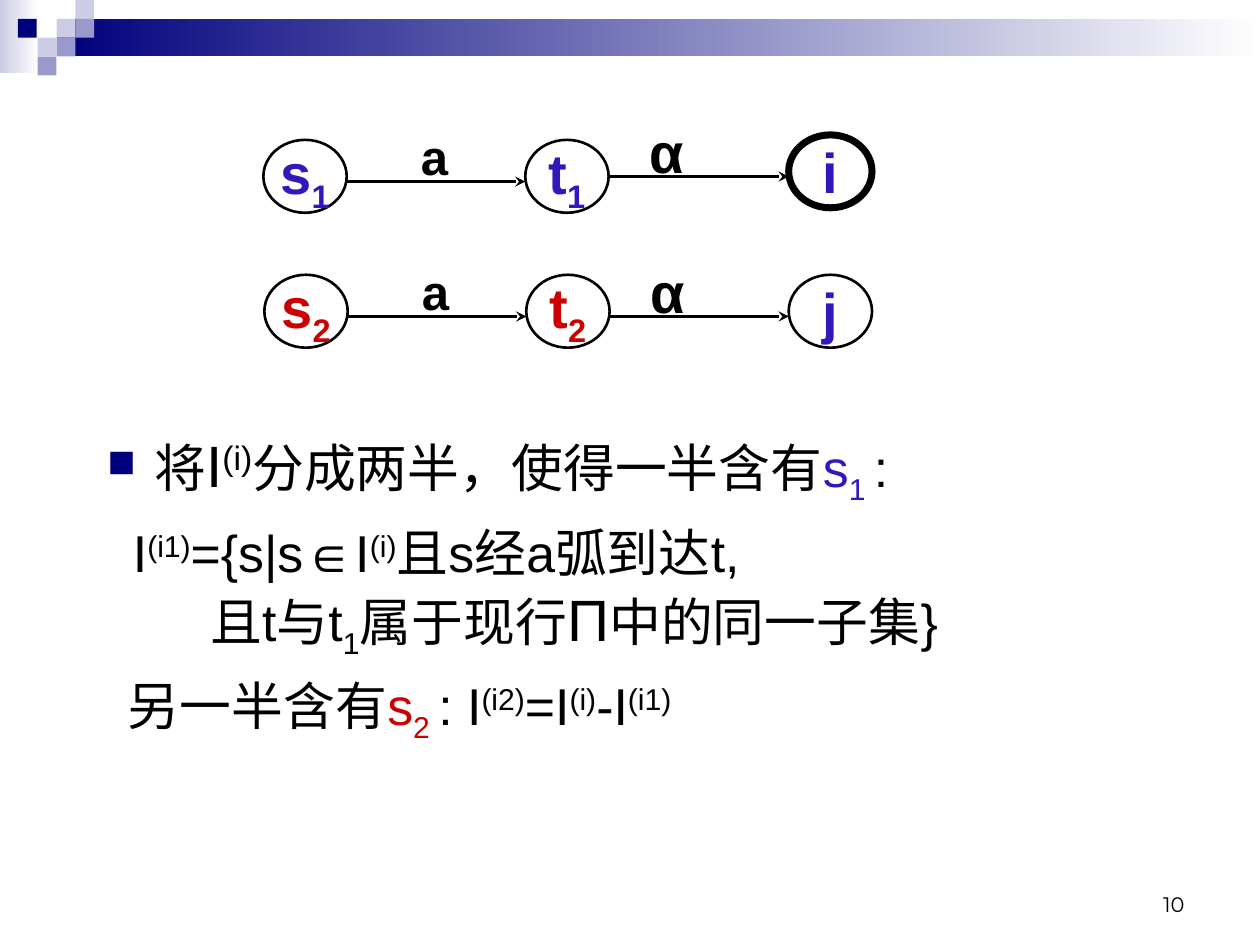
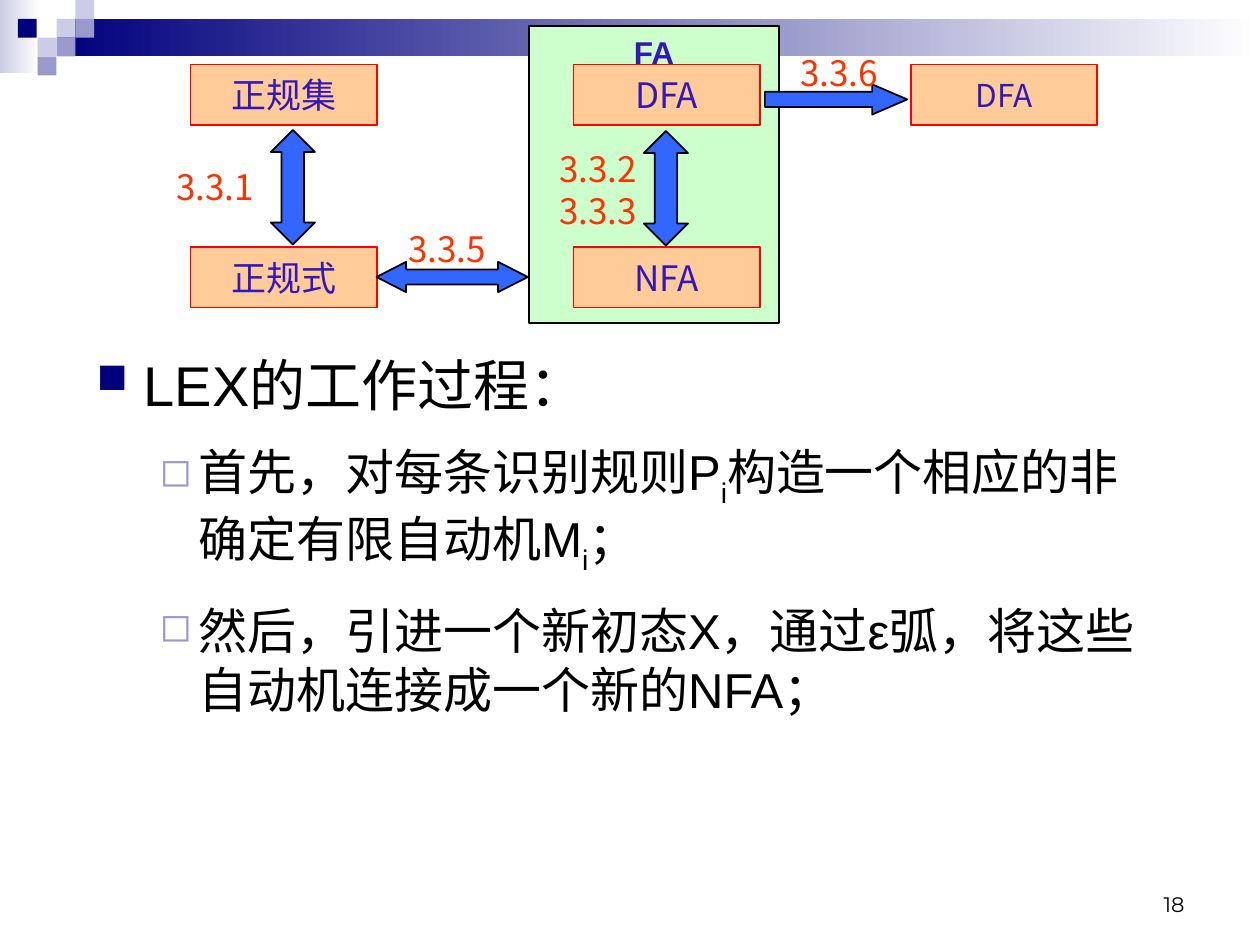
from lxml.etree import SubElement
from pptx import Presentation
from pptx.dml.color import RGBColor
from pptx.enum.shapes import MSO_CONNECTOR, MSO_SHAPE
from pptx.enum.text import MSO_ANCHOR, MSO_AUTO_SIZE, PP_ALIGN
from pptx.oxml.ns import qn
from pptx.util import Cm, Pt

NAVY, LILAC, PALE, WHITE, BLACK = "00007D", "9999CC", "CCCCE6", "FFFFFF", "000000"
INDIGO, CRIMSON, RED, ORANGE = "3217BB", "CC0000", "FF0000", "FF3300"
PEACH, MINT, BLUE = "FFCC99", "CCFFCC", "3366FF"
CJK_FONT = "Noto Sans CJK SC"
SUB, SUPER = {"baseline": -25000}, {"baseline": 30000}
SQUARE_BULLET = {"character": "■", "colour": NAVY, "percent": 75}
HOLLOW_BULLET = {"character": "◻", "colour": LILAC, "percent": 80}


def colour(value):
    return RGBColor.from_string(value)


def apply(target, values):
    for name, value in values.items():
        setattr(target, name, value)


class Deck:
    base = {"size": 20, "name": "Arial", "bold": False, "colour": BLACK}

    def __init__(self):
        self.presentation = Presentation()
        apply(self.presentation, {"slide_width": Cm(25.4), "slide_height": Cm(19.05)})
        self.slide = None

    def new_slide(self, number):
        self.slide = self.presentation.slides.add_slide(self.presentation.slide_layouts[6])
        self.shape(MSO_SHAPE.RECTANGLE, (0, 0, 0.79, 1.47), gradient=(PALE, WHITE))
        self.shape(MSO_SHAPE.RECTANGLE, (1.14, 0.38, 24.26, 0.76), gradient=(NAVY, WHITE))
        squares = [(1.14, 0.38, PALE), (1.52, 0, PALE), (1.52, 0.38, LILAC), (0.76, 0.76, PALE),
                   (0.36, 0.38, NAVY), (1.14, 0.76, LILAC), (0.76, 1.14, LILAC)]
        for left, top, fill in squares:
            self.shape(MSO_SHAPE.RECTANGLE, (left, top, 0.38, 0.38), fill)
        self.text((18.21, 17.35, 5.92, 1.27), [{"runs": [(number, {})], "align": PP_ALIGN.RIGHT}],
                  {"size": 12, "name": "Montserrat"}, anchor=MSO_ANCHOR.BOTTOM)

    def shape(self, kind, box, fill=None, line=None, width=1, gradient=None, adjustments=()):
        shape = self.slide.shapes.add_shape(kind, *map(Cm, box))
        shape.shadow.inherit = False
        for index, value in enumerate(adjustments):
            shape.adjustments[index] = value
        if gradient:
            shape.fill.gradient()
            shape.fill.gradient_angle = 0
            for position, (stop, value) in enumerate(zip(shape.fill.gradient_stops, gradient)):
                stop.position = position
                stop.color.rgb = colour(value)
        elif fill:
            shape.fill.solid()
            shape.fill.fore_color.rgb = colour(fill)
        else:
            shape.fill.background()
        if line:
            shape.line.color.rgb = colour(line)
            shape.line.width = Pt(width)
        else:
            shape.line.fill.background()
        return shape

    def text(self, box, paragraphs, style, **frame):
        shape = self.slide.shapes.add_textbox(*map(Cm, box))
        self.fill_text(shape, paragraphs, style, **frame)

    def caption(self, shape, runs, style, anchor=MSO_ANCHOR.MIDDLE):
        self.fill_text(shape, [{"runs": runs, "align": PP_ALIGN.CENTER}], style, anchor,
                       wrap=False)

    def fill_text(self, shape, paragraphs, style, anchor=MSO_ANCHOR.TOP, wrap=True,
                  grow=MSO_AUTO_SIZE.NONE):
        frame = shape.text_frame
        apply(frame, {"word_wrap": wrap, "auto_size": grow, "vertical_anchor": anchor,
                      "margin_left": Cm(0.25), "margin_right": Cm(0.25),
                      "margin_top": Cm(0.13), "margin_bottom": Cm(0.13)})
        for index, content in enumerate(paragraphs):
            paragraph = frame.paragraphs[0] if index == 0 else frame.add_paragraph()
            self.bullet(paragraph, content)
            apply(paragraph, {"alignment": content.get("align", PP_ALIGN.LEFT),
                              "space_before": Pt(content.get("before", 0))})
            for words, changes in content["runs"]:
                self.run(paragraph, words, {**self.base, **style, **changes})

    def bullet(self, paragraph, content):
        properties = paragraph._p.get_or_add_pPr()
        properties.set("marL", str(Cm(content.get("margin", 0))))
        properties.set("indent", str(Cm(content.get("indent", 0))))
        bullet = content.get("bullet")
        if bullet:
            tint = SubElement(properties, qn("a:buClr"))
            SubElement(tint, qn("a:srgbClr"), val=bullet["colour"])
            SubElement(properties, qn("a:buSzPct"), val=str(bullet["percent"] * 1000))
            SubElement(properties, qn("a:buChar"), char=bullet["character"])
        else:
            SubElement(properties, qn("a:buNone"))

    def run(self, paragraph, words, style):
        run = paragraph.add_run()
        run.text = words
        apply(run.font, {"size": Pt(style["size"]), "name": style["name"], "bold": style["bold"]})
        run.font.color.rgb = colour(style["colour"])
        if "baseline" in style:
            run._r.get_or_add_rPr().set("baseline", str(style["baseline"]))

    def arrow(self, start, end, y):
        connector = self.slide.shapes.add_connector(
            MSO_CONNECTOR.STRAIGHT, Cm(start), Cm(y), Cm(end), Cm(y))
        connector.line.color.rgb = colour(BLACK)
        connector.line.width = Pt(1.5)
        properties = connector._element.spPr
        SubElement(properties.get_or_add_ln(), qn("a:tailEnd"), type="stealth")
        SubElement(properties, qn("a:effectLst"))

    def state(self, left, top, runs, tint, width=1.5):
        shape = self.shape(MSO_SHAPE.OVAL, (left, top, 1.68, 1.47), line=BLACK, width=width)
        self.caption(shape, runs, {"size": 32, "bold": True, "colour": tint})

    def transition(self, start, end, target_top, label, size, shift):
        self.arrow(start, end, target_top + 0.84)
        self.text((start + shift, target_top - 0.41, 2.34, 1.47),
                  [{"runs": [(label, {})], "align": PP_ALIGN.CENTER}],
                  {"size": size, "bold": True}, anchor=MSO_ANCHOR.MIDDLE, wrap=False)

    def box(self, left, top, label, size=20):
        shape = self.shape(MSO_SHAPE.RECTANGLE, (left, top, 3.76, 1.22), PEACH, RED)
        self.caption(shape, [(label, {})], {"size": size, "name": CJK_FONT, "colour": INDIGO})

    def section(self, box, *labels, wrap=False):
        self.text(box, [{"runs": [(label, {})]} for label in labels],
                  {"name": CJK_FONT, "colour": ORANGE},
                  wrap=wrap, grow=MSO_AUTO_SIZE.SHAPE_TO_FIT_TEXT)


def split_slide(deck):
    deck.new_slide("10")
    large = {"size": 33.3}
    deck.text((1.91, 8.53, 22.23, 6.83), [
        {"margin": 0.95, "indent": -0.95, "bullet": SQUARE_BULLET, "runs": [
            ("将", {}), ("I", large), ("(i)", {**large, **SUPER}),
            ("分成两半，使得一半含有", {}), ("s", {"colour": INDIGO}),
            ("1 ", {"colour": INDIGO, **SUB}), (":", {})]},
        {"margin": 0.52, "before": 8, "runs": [
            ("I", {}), ("(i1)", SUPER), ("={s|s∈I", {}), ("(i)", SUPER), ("且s经a弧到达t,", {})]},
        {"margin": 2.08, "runs": [
            ("且t与t", {}), ("1", SUB), ("属于现行", {}), ("Π", large), ("中的同一子集}", {})]},
        {"margin": 0.42, "before": 8, "runs": [
            ("另一半含有", {}), ("s", {"colour": CRIMSON}), ("2 ", {"colour": CRIMSON, **SUB}),
            (": I", {}), ("(i2)", SUPER), ("=I", {}), ("(i)", SUPER), ("-I", {}), ("(i1)", SUPER)]},
    ], {"size": 29.6})

    rows = [("1", INDIGO, 5.31, 2.82, "i", 2.72, 4), ("2", CRIMSON, 5.33, 5.54, "j", 5.54, 1.5)]
    for index, tint, left, top, final, final_top, width in rows:
        middle, right = left + 5.28, 15.9
        deck.state(left, top, [("s", {}), (index, SUB)], tint)
        deck.state(middle, top, [("t", {}), (index, SUB)], tint)
        deck.state(right, final_top, [(final, {})], INDIGO, width)
        deck.transition(left + 1.68, middle, top, "a", 28, 0.6)
        deck.transition(middle + 1.68, right, final_top, "α", 32, 0)


def lex_slide(deck):
    deck.new_slide("18")
    step = {"margin": 2.06, "indent": -0.79, "before": 14, "bullet": HOLLOW_BULLET}
    small = {"size": 28}
    small_sub = {**small, **SUB}
    deck.text((1.7, 6.93, 21.59, 10.21), [
        {"margin": 0.95, "indent": -0.95, "bullet": SQUARE_BULLET,
         "runs": [("LEX的工作过程：", {})]},
        {**step, "runs": [("首先，对每条识别规则P", small), ("i", small_sub),
                          ("构造一个相应的非确定有限自动机M", small), ("i", small_sub),
                          ("；", small)]},
        {**step, "runs": [("然后，引进一个新初态X，通过ε弧，将这些自动机连接成一个新的NFA；", small)]},
    ], {"size": 32})

    automata = deck.shape(MSO_SHAPE.RECTANGLE, (10.67, 0.53, 5.03, 5.99), MINT, BLACK)
    deck.caption(automata, [("FA", {})], {"size": 18, "bold": True, "colour": INDIGO},
                 MSO_ANCHOR.TOP)
    upper, lower = 1.3, 4.98
    for left, names in ((3.84, ("正规集", "正规式")), (11.56, ("DFA", "NFA"))):
        for top, name in zip((upper, lower), names):
            deck.box(left, top, name)
    deck.box(18.36, upper, "DFA", 18)

    arrows = [(MSO_SHAPE.LEFT_RIGHT_ARROW, (7.59, 5.28, 3.05, 0.61), 0.98),
              (MSO_SHAPE.UP_DOWN_ARROW, (5.46, 2.62, 0.89, 2.31), 0.51),
              (MSO_SHAPE.UP_DOWN_ARROW, (12.98, 2.64, 0.89, 2.31), 0.51),
              (MSO_SHAPE.RIGHT_ARROW, (15.42, 1.7, 2.87, 0.61), 1.16)]
    for kind, box, head in arrows:
        deck.shape(kind, box, BLUE, BLACK, adjustments=(0.5, head))
    deck.section((3.3, 3.2, 2.08, 1.12), "3.3.1")
    deck.section((11.02, 2.84, 2.16, 1.96), "3.3.2", "3.3.3", wrap=True)
    deck.section((7.98, 4.45, 2.08, 1.12), "3.3.5")
    deck.section((15.88, 0.91, 2.08, 1.12), "3.3.6")


def main():
    deck = Deck()
    split_slide(deck)
    lex_slide(deck)
    deck.presentation.save("out.pptx")


if __name__ == "__main__":
    main()
